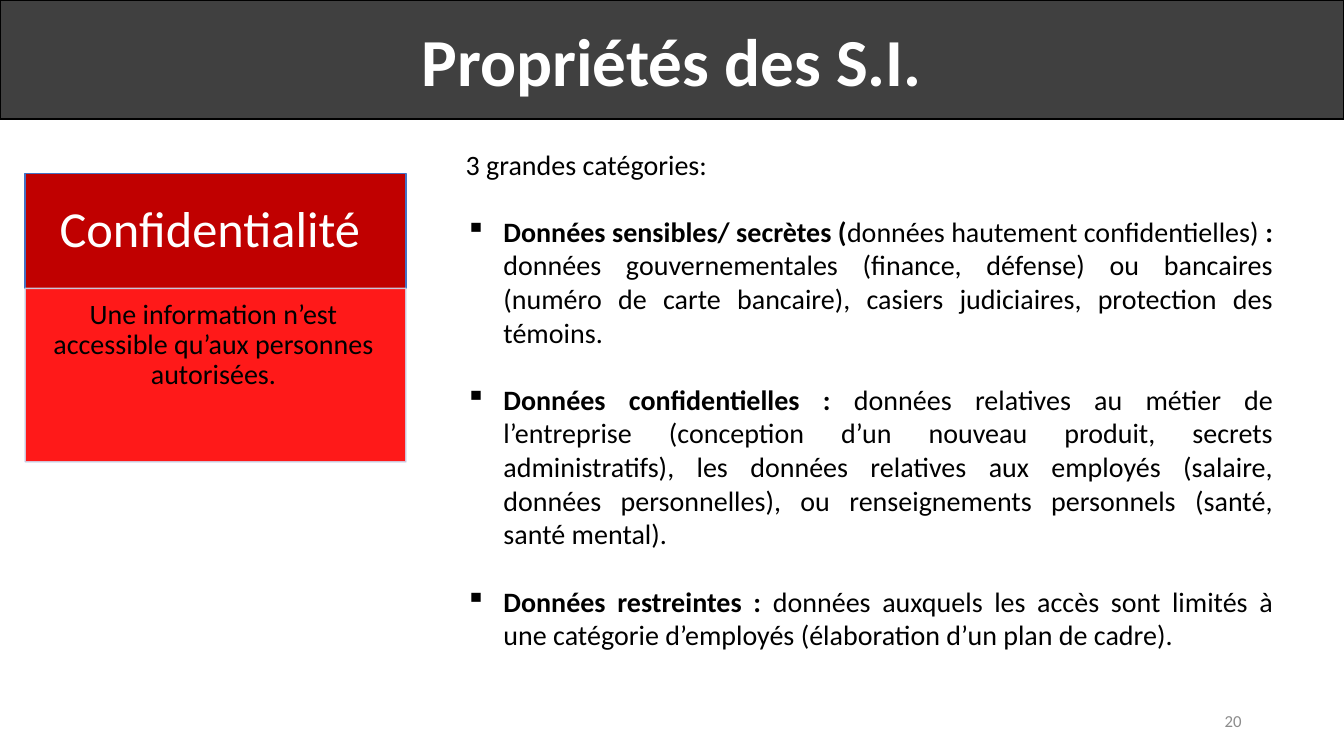
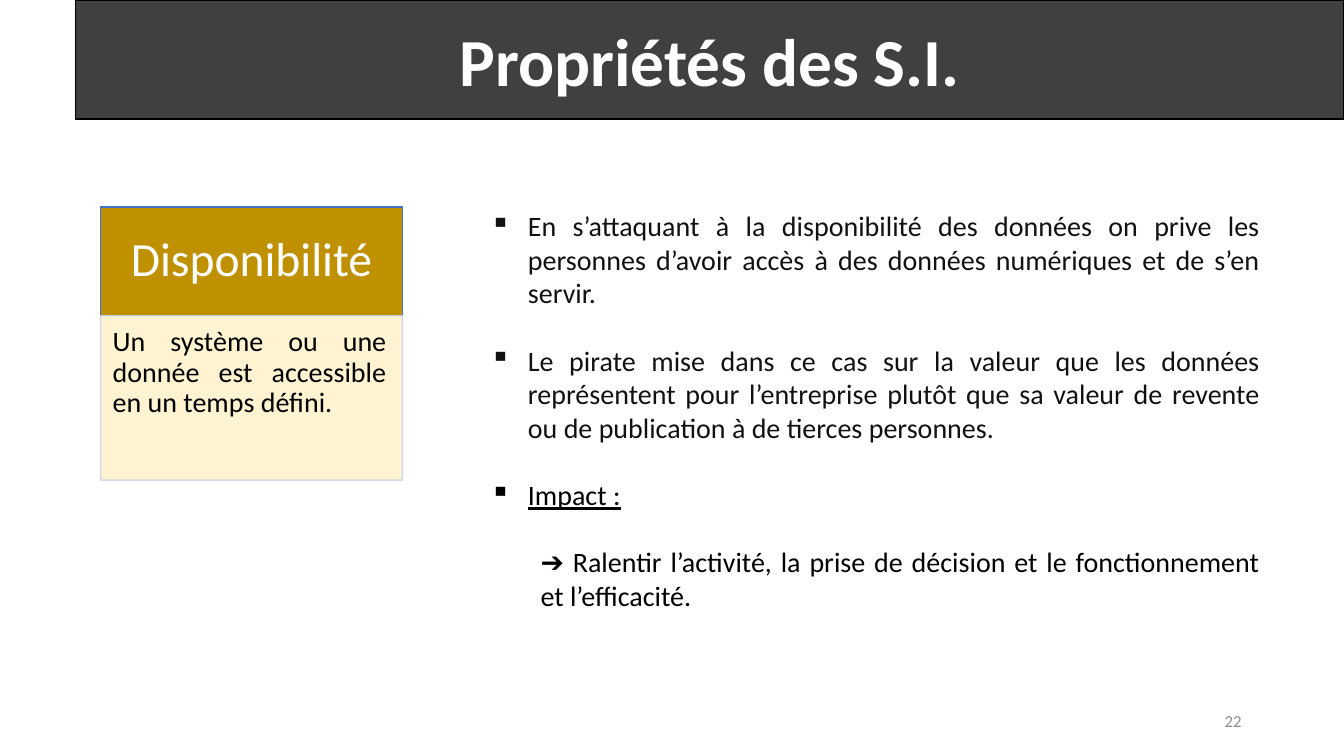
"""Build two slides on the properties of information systems."""
from dataclasses import dataclass
from typing import NamedTuple

from lxml.etree import SubElement
from pptx import Presentation
from pptx.dml.color import RGBColor as Rgb
from pptx.enum.shapes import MSO_SHAPE as Form
from pptx.enum.text import MSO_ANCHOR as Anchor, MSO_AUTO_SIZE as Auto, PP_ALIGN as Align
from pptx.oxml.ns import qn
from pptx.util import Pt

HEX = {
    "black": "000000", "white": "FFFFFF", "band": "404040", "ink": "111111",
    "grey": "8C8C8C", "blue": "4472C4", "pale": "CFD5EA", "wine": "C00000",
    "red": "FF0000", "gold": "BF9000", "cream": "FFF2CC",
}
FONT = "Calibri"
WIDE, HIGH = 960, 540
BAND = 85
LINE = 24
HANG = 27


class Box(NamedTuple):
    left: float
    top: float
    width: float
    height: float


class Bit(NamedTuple):
    text: str
    bold: bool = False
    under: bool = False
    tone: str = "black"


@dataclass
class Para:
    bits: list[Bit]
    gap: float = LINE
    mark: str = ""
    left: float = 0
    level: int = 0


@dataclass
class Card:
    box: Box
    split: float
    head: str
    size: float
    pad: tuple[float, float]
    body: str
    align: Align
    dark: str
    light: str


@dataclass
class Page:
    left: float
    card: Card
    area: Box
    paras: list[Para]
    number: str


def point(*bits: Bit, gap: float = LINE) -> Para:
    """Return a bulleted paragraph."""
    return Para(list(bits), gap, "▪", HANG)


def paint(shape, fill: str, edge: str, alpha: int = 100) -> None:
    """Fill and outline a shape, with optional transparency."""
    shape.fill.solid()
    shape.fill.fore_color.rgb = Rgb.from_string(HEX[fill])
    shape.line.color.rgb = Rgb.from_string(HEX[edge])
    shape.line.width = Pt(1)
    if alpha < 100:
        for tint in shape._element.spPr.iter(qn("a:srgbClr")):
            SubElement(tint, qn("a:alpha")).set("val", str(alpha * 1000))


def write(shape, paras: list[Para], *, size: float, align: Align,
          anchor: Anchor = Anchor.TOP, space: float = 1,
          pad: tuple[float, float, float, float] = (7.2, 3.6, 7.2, 3.6)) -> None:
    """Write formatted paragraphs into a shape."""
    frame = shape.text_frame
    frame.word_wrap, frame.auto_size = True, Auto.NONE
    frame.vertical_anchor = anchor
    frame.margin_left, frame.margin_top, frame.margin_right, frame.margin_bottom = map(Pt, pad)
    for i, para in enumerate(paras):
        item = frame.add_paragraph() if i else frame.paragraphs[0]
        item.alignment, item.level = align, para.level
        item.line_spacing, item.space_before = space, Pt(para.gap)
        props = item._p.get_or_add_pPr()
        props.set("marL", str(Pt(para.left)))
        props.set("indent", str(Pt(-para.left if para.mark else 0)))
        if para.mark:
            SubElement(props, qn("a:buChar")).set("char", para.mark)
        for bit in para.bits:
            run = item.add_run()
            run.text = bit.text
            font = run.font
            font.name, font.size = FONT, Pt(size)
            font.bold, font.underline = bit.bold, bit.under
            font.color.rgb = Rgb.from_string(HEX[bit.tone])


def plain(text: str, tone: str = "black", bold: bool = False) -> list[Para]:
    """Return one unspaced paragraph."""
    return [Para([Bit(text, bold, tone=tone)], gap=0)]


def label(slide, box: Box):
    """Add an empty text box."""
    return slide.shapes.add_textbox(*map(Pt, box))


def block(slide, box: Box, fill: str, edge: str, alpha: int = 100):
    """Add a flat rectangle."""
    shape = slide.shapes.add_shape(Form.RECTANGLE, *map(Pt, box))
    shape.shadow.inherit = False
    paint(shape, fill, edge, alpha)
    return shape


def title(slide, left: float) -> None:
    """Place the title band."""
    shape = slide.shapes.title
    shape.left, shape.top, shape.width, shape.height = map(Pt, (left, 0, WIDE - left, BAND))
    paint(shape, "band", "black")
    write(shape, plain("Propriétés des S.I.", "white", True), size=48,
          align=Align.CENTER, anchor=Anchor.MIDDLE)


def draw(slide, card: Card) -> None:
    """Draw a card with its heading and definition."""
    left, top, width, height = card.box
    head = block(slide, Box(left, top, width, card.split), card.dark, "blue")
    write(head, plain(card.head, "white"), size=card.size, align=Align.CENTER,
          anchor=Anchor.MIDDLE, space=0.9, pad=card.pad * 2)
    body = block(slide, Box(left, top + card.split, width, height - card.split),
                 card.light, "pale", 90)
    write(body, plain(card.body), size=20, align=card.align, space=0.9,
          pad=(8.5, 8.5, 11.5, 12))


PAGES = [
    Page(
        0,
        Card(Box(18, 124, 272, 206), 82, "Confidentialité ", 36, (20, 11.5),
             "Une information n’est accessible qu’aux personnes autorisées.",
             Align.CENTER, "wine", "red"),
        Box(325.5, 101.5, 591, 371),
        [
            *plain("3 grandes catégories:"),
            point(Bit("Données sensibles/ secrètes (", True),
                  Bit("données hautement confidentielles) "), Bit(":", True),
                  Bit(" données gouvernementales (finance, défense) ou bancaires "
                      "(numéro de carte bancaire), casiers judiciaires, "
                      "protection des témoins.")),
            point(Bit("Données confidentielles :", True),
                  Bit(" données relatives au métier de l’entreprise (conception "
                      "d’un nouveau produit, secrets administratifs), les données "
                      "relatives aux employés (salaire, données personnelles), ou "
                      "renseignements personnels (santé, santé mental).")),
            point(Bit("Données restreintes : ", True),
                  Bit("données auxquels les accès sont limités à une catégorie "
                      "d’employés (élaboration d’un plan de cadre).")),
        ],
        "20",
    ),
    Page(
        54,
        Card(Box(72, 148, 215.5, 195), 77.5, "Disponibilité", 34, (18.5, 11),
             "Un système ou une donnée est accessible en un temps défini.",
             Align.JUSTIFY, "gold", "cream"),
        Box(343, 145.5, 564, 322.5),
        [
            point(Bit("En s’attaquant à la disponibilité des données on prive les "
                      "personnes d’avoir accès à des données numériques et de s’en "
                      "servir.", tone="ink"), gap=0),
            point(Bit("Le pirate mise dans ce cas sur la valeur que les données "
                      "représentent pour l’entreprise plutôt que sa valeur de revente "
                      "ou de publication à de tierces personnes.", tone="ink")),
            point(Bit("Impact :", under=True)),
            Para([Bit("➔ Ralentir l’activité, la prise de décision et le "
                      "fonctionnement et l’efficacité.")], left=36, level=1),
        ],
        "22",
    ),
]


def main() -> None:
    """Build and save the deck."""
    deck = Presentation()
    deck.slide_width, deck.slide_height = Pt(WIDE), Pt(HIGH)
    for page in PAGES:
        slide = deck.slides.add_slide(deck.slide_layouts[5])
        title(slide, page.left)
        draw(slide, page.card)
        write(label(slide, page.area), page.paras, size=20, align=Align.JUSTIFY)
        write(label(slide, Box(678, 500.5, 216, 28.75)), plain(page.number, "grey"),
              size=12, align=Align.RIGHT, anchor=Anchor.MIDDLE)
    deck.save("out.pptx")


if __name__ == "__main__":
    main()
